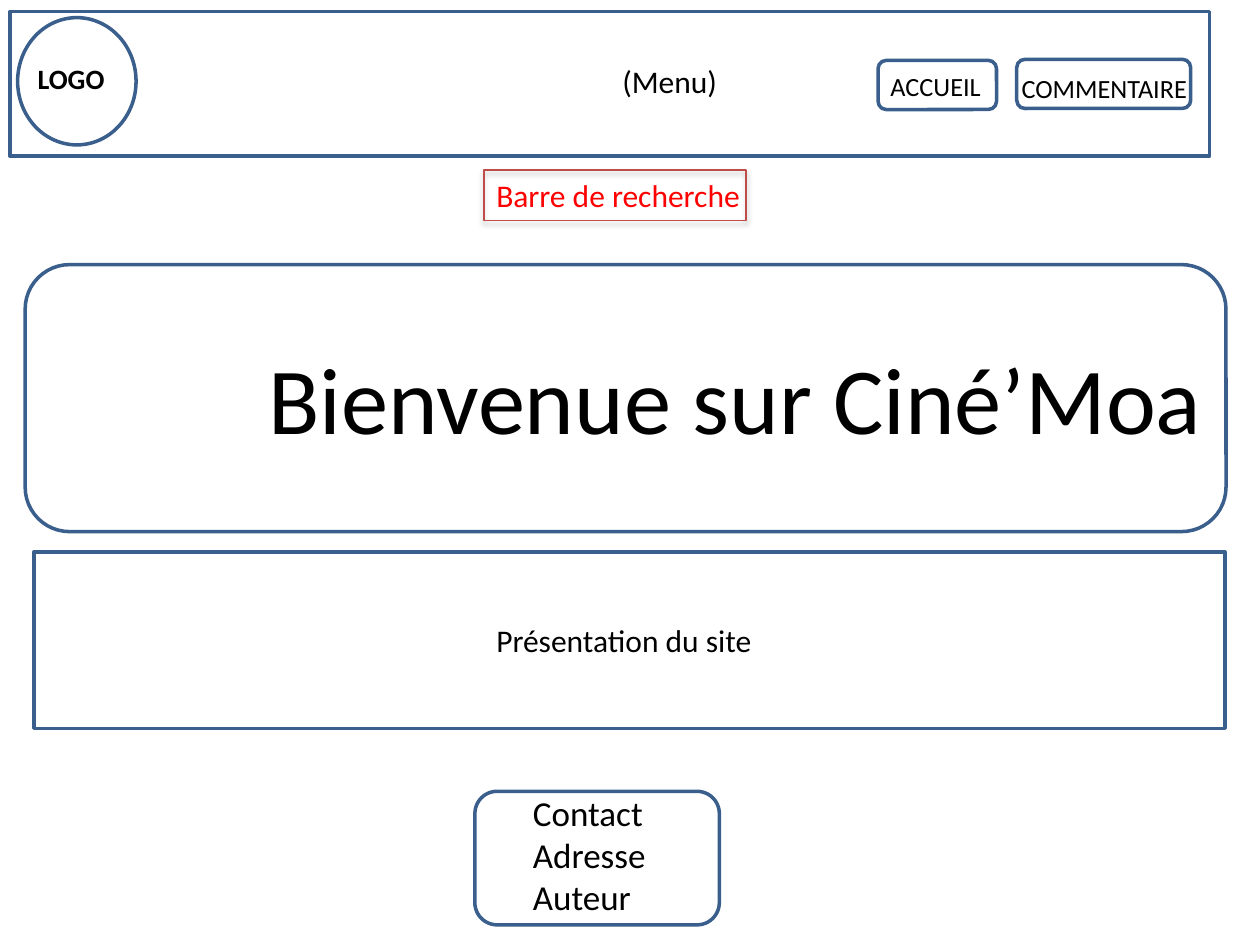
from lxml import etree
from pptx import Presentation
from pptx import util as u
from pptx.dml.color import RGBColor
from pptx.enum import shapes, text
from pptx.oxml import ns

FONT = "Calibri"
BLUE = RGBColor(0x3A, 0x5F, 0x8C)
BRICK = RGBColor(0xBF, 0x4C, 0x48)
BLACK = RGBColor(0, 0, 0)
RED = RGBColor(0xFF, 0, 0)

RECTANGLE = shapes.MSO_SHAPE.RECTANGLE
ROUNDED = shapes.MSO_SHAPE.ROUNDED_RECTANGLE
OVAL = shapes.MSO_SHAPE.OVAL

# Frames: preset, (left, top, width, height) in points
FRAMES = [
    (RECTANGLE, (5.8, 6.5, 685.4, 82.8)),     # menu bar
    (OVAL, (10.1, 10.1, 67.7, 72.7)),         # logo
    (ROUNDED, (501.8, 34.5, 67.7, 28.1)),     # home button
    (ROUNDED, (581, 33.9, 99.4, 28.1)),       # comment button
    (ROUNDED, (14.4, 151.2, 686.2, 152.6)),   # welcome banner
    (RECTANGLE, (19.5, 315.4, 680.4, 100.8)), # site presentation
    (ROUNDED, (271.4, 452.2, 139.7, 76.3)),   # contact
]
SEARCH_BOX = (276.5, 97.2, 149.8, 28.8)

# Labels: lines, (left, top, width, height), size, colour, bold
LABELS = [
    (["LOGO"], (14.4, 31.7, 64.1, 26.6), 16, BLACK, True),
    (["(Menu)"], (348.5, 31.7, 99.4, 28.8), 18, BLACK, False),
    (["ACCUEIL"], (501.8, 36.7, 218.2, 25.2), 15, BLACK, False),
    (["COMMENTAIRE"], (576.7, 37.8, 143.3, 25.2), 15, BLACK, False),
    (["Barre de recherche"], (276.5, 97.2, 157, 28.8), 18, RED, False),
    (["Bienvenue sur Ciné’Moa"], (146.2, 190.8, 573.8, 72.7), 54, BLACK, False),
    (["Présentation du site"], (276.5, 351.4, 323.3, 28.8), 18, BLACK, False),
    (["Contact", "Adresse", "Auteur"], (297.4, 448.6, 361.4, 79.9), 20, BLACK, False),
]


def points(box):
    return [u.Pt(length) for length in box]


def add_frame(slide, preset, box, color=BLUE, weight=2):
    shape = slide.shapes.add_shape(preset, *points(box))
    shape.shadow.inherit = False
    shape.fill.background()
    shape.line.color.rgb = color
    shape.line.width = u.Pt(weight)
    return shape


def add_shadow(shape, blur, distance, angle, opacity):
    effects = shape._element.spPr.find(ns.qn("a:effectLst"))
    shadow = etree.SubElement(
        effects, ns.qn("a:outerShdw"), blurRad=str(u.Pt(blur)),
        dist=str(u.Pt(distance)), dir=str(angle * 60000), rotWithShape="0")
    color = etree.SubElement(shadow, ns.qn("a:srgbClr"), val="000000")
    etree.SubElement(color, ns.qn("a:alpha"), val=str(opacity * 1000))


def add_label(slide, lines, box, size, color, bold):
    frame = slide.shapes.add_textbox(*points(box)).text_frame
    frame.word_wrap = True
    frame.auto_size = text.MSO_AUTO_SIZE.SHAPE_TO_FIT_TEXT
    for index, line in enumerate(lines):
        paragraph = frame.add_paragraph() if index else frame.paragraphs[0]
        run = paragraph.add_run()
        run.text = line
        run.font.name = FONT
        run.font.size = u.Pt(size)
        run.font.bold = bold
        run.font.color.rgb = color


def main():
    presentation = Presentation()
    presentation.slide_width, presentation.slide_height = u.Pt(720), u.Pt(540)
    slide = presentation.slides.add_slide(presentation.slide_layouts[6])

    # Page blocks and buttons
    for preset, box in FRAMES:
        add_frame(slide, preset, box)

    # Search bar
    search = add_frame(slide, RECTANGLE, SEARCH_BOX, BRICK, 0.75)
    add_shadow(search, blur=3.1, distance=1.8, angle=90, opacity=35)

    # Wording
    for label in LABELS:
        add_label(slide, *label)

    presentation.save("out.pptx")


if __name__ == "__main__":
    main()
